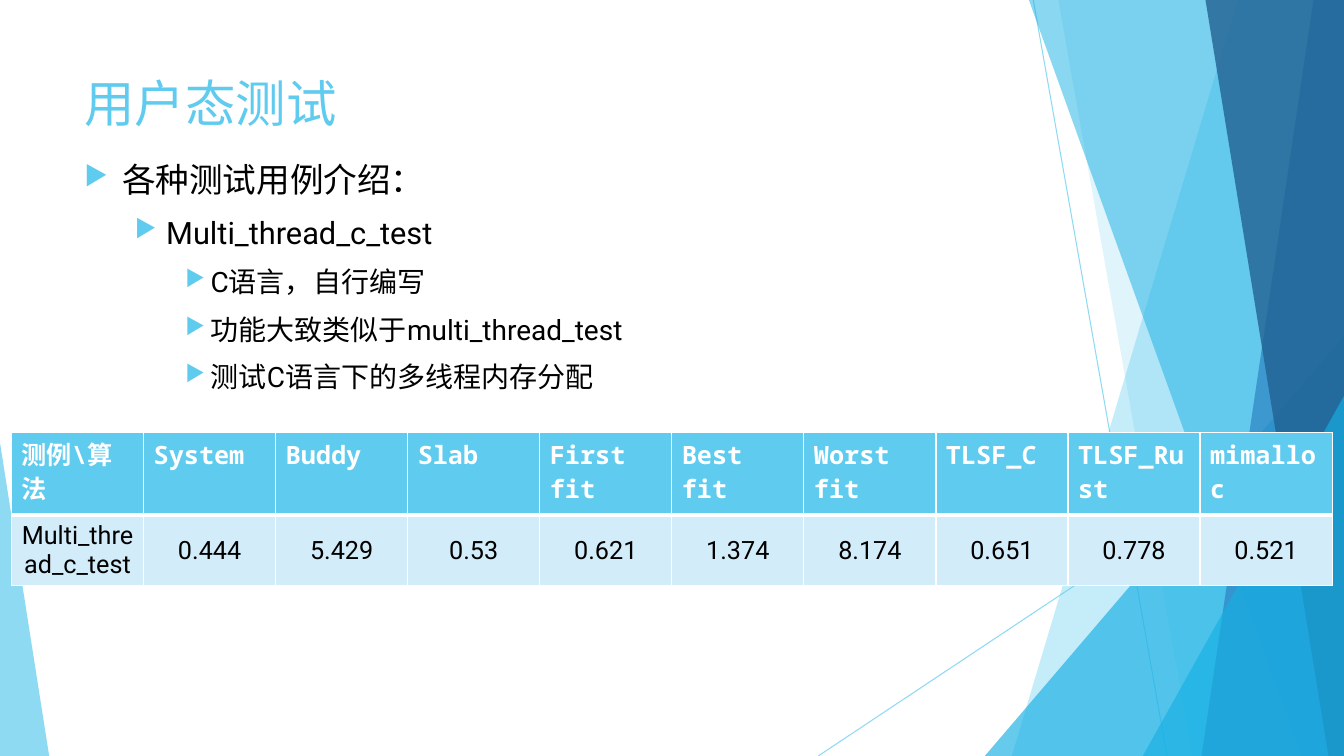
from lxml import etree
from pptx import Presentation
from pptx import util as u
from pptx.dml.color import RGBColor
from pptx.enum import shapes, text
from pptx.oxml import ns

Cm, Pt = u.Cm, u.Pt

SKY = RGBColor(0x5F, 0xCB, 0xEF)
AZURE = RGBColor(0x17, 0xB0, 0xE4)
BLUE = RGBColor(0x2E, 0x83, 0xC3)
NAVY = RGBColor(0x22, 0x62, 0x92)
PALE = RGBColor(0xD2, 0xEC, 0xF9)
WHITE = RGBColor(0xFF, 0xFF, 0xFF)
BLACK = RGBColor(0, 0, 0)
MONO, SANS = "Noto Sans Mono", "Roboto"

TITLE = "用户态测试"
OUTLINE = [
    (0, "各种测试用例介绍："),
    (1, "Multi_thread_c_test"),
    (2, "C语言，自行编写"),
    (2, "功能大致类似于multi_thread_test"),
    (2, "测试C语言下的多线程内存分配"),
]
# Per outline level: text indent, hanging indent (cm), size (pt)
LEVELS = [(0.95, 0.95, 24), (2.06, 0.79, 22), (3.18, 0.64, 20)]
RESULTS = [
    ["测例\\算法", "System", "Buddy", "Slab", "First fit", "Best fit",
     "Worst fit", "TLSF_C", "TLSF_Rust", "mimalloc"],
    ["Multi_thread_c_test", "0.444", "5.429", "0.53", "0.621", "1.374",
     "8.174", "0.651", "0.778", "0.521"],
]


def sub(parent, tag, **attrs):
    """Append a DrawingML child element and return it."""
    return etree.SubElement(parent, ns.qn("a:" + tag), attrs)


def set_alpha(fill_parent, percent):
    """Set the opacity of the solid colour found under an element."""
    color = next(fill_parent.iter(ns.qn("a:srgbClr")))
    sub(color, "alpha", val=str(percent * 1000))


def style_run(r, font, size, color, bold=False):
    """Format a run, with the same font for Latin and East Asian text."""
    r.font.name, r.font.size, r.font.bold = font, Pt(size), bold
    r.font.color.rgb = color
    sub(r.font._element, "ea", typeface=font)


def paint(sp, color, alpha):
    """Give a facet a translucent fill without outline or shadow."""
    sp.shadow.inherit = False
    sp.fill.solid()
    sp.fill.fore_color.rgb = color
    set_alpha(sp._element.spPr, alpha)
    sp.line.fill.background()


def add_facets(s, x, y, w, h):
    """Draw the overlapping facets along the sides of the box."""
    def ray(x1, y1, x2, y2):
        c = s.shapes.add_connector(shapes.MSO_CONNECTOR.STRAIGHT,
                                   x + x1, y + y1, x + x2, y + y2)
        c.line.color.rgb, c.line.width = SKY, Pt(0.75)
        set_alpha(c._element.spPr, 70)
        sub(c._element.spPr, "effectLst")

    def band(top, bottom, color, alpha):
        fb = s.shapes.build_freeform(x + Cm(top), y)
        fb.add_line_segments([(x + w, y), (x + w, y + h),
                              (x + Cm(bottom), y + h)], close=True)
        paint(fb.convert_to_shape(), color, alpha)

    def corner(left, top, right, apex, color, alpha):
        sp = s.shapes.add_shape(shapes.MSO_SHAPE.ISOSCELES_TRIANGLE,
                                x + left, y + top, right - left, h - top)
        sp.adjustments[0] = apex
        paint(sp, color, alpha)

    ray(Cm(26.04), 0, Cm(29.41), h)
    ray(w, Cm(10.24), Cm(20.62), h)
    band(31.19, 25.5, SKY, 36)
    band(26.67, 30.05, SKY, 20)
    corner(Cm(24.82), Cm(8.46), w, 1, AZURE, 66)
    band(25.93, 32.79, AZURE, 50)
    band(33.1, 30.28, BLUE, 70)
    band(30.38, 33.48, NAVY, 80)
    corner(Cm(28.8), Cm(9.98), w, 1, AZURE, 66)
    corner(0, Cm(11.15), Cm(1.24), 0, SKY, 70)


def add_text_frame(s, x, y, w, h):
    """Add a wrapping text box and return its text frame."""
    tf = s.shapes.add_textbox(x, y, w, h).text_frame
    tf.word_wrap = True
    return tf


def add_title(s, x, y, w, h):
    """Write the slide title."""
    tf = add_text_frame(s, x, y, w, h)
    tf.text = TITLE
    style_run(tf.paragraphs[0].runs[0], MONO, 36, SKY)


def add_outline(s, x, y, w, h):
    """Write the bulleted outline."""
    tf = add_text_frame(s, x, y, w, h)
    tf.text = "\n".join(line for _, line in OUTLINE)
    for p, (level, _) in zip(tf.paragraphs, OUTLINE):
        indent, hanging, size = LEVELS[level]
        p.level, p.space_before = level, Pt(10)
        pPr = p._p.get_or_add_pPr()
        pPr.set("marL", str(Cm(indent)))
        pPr.set("indent", str(-Cm(hanging)))
        sub(sub(pPr, "buClr"), "srgbClr", val=str(SKY))
        sub(pPr, "buSzPct", val="80000")
        sub(pPr, "buChar", char="▶")
        style_run(p.runs[0], SANS, size, BLACK)


def set_borders(cell, **widths):
    """Draw white cell borders, with widths in points by side."""
    tcPr = cell._tc.get_or_add_tcPr()
    for i, side in enumerate("LRTB"):
        ln = sub(tcPr, "ln" + side, w=str(Pt(widths.get(side, 1))))
        sub(sub(ln, "solidFill"), "srgbClr", val=str(WHITE))
        tcPr.insert(i, ln)


def add_results(s, x, y, w, h):
    """Build the table of allocator timings."""
    rows, cols = len(RESULTS), len(RESULTS[0])
    table = s.shapes.add_table(rows, cols, x, y, w, h).table
    table.rows[0].height = Cm(2.08)
    table.rows[1].height = h - Cm(2.08)
    for i, row in enumerate(RESULTS):
        for j, value in enumerate(row):
            cell = table.cell(i, j)
            cell.text = value
            cell.fill.solid()
            p = cell.text_frame.paragraphs[0]
            if i == 0:
                cell.fill.fore_color.rgb = SKY
                style_run(p.runs[0], MONO, 18, WHITE, bold=True)
                set_borders(cell, B=3)
                continue
            cell.fill.fore_color.rgb = PALE
            style_run(p.runs[0], SANS, 18, BLACK)
            set_borders(cell, T=3)
            p.alignment = text.PP_ALIGN.CENTER
            cell.vertical_anchor = text.MSO_ANCHOR.MIDDLE
            if j > 0:
                cell.margin_left = cell.margin_right = Cm(0.03)
                cell.margin_top, cell.margin_bottom = Cm(0.03), 0


def build_slide(prs):
    """Add the user-mode test slide."""
    s = prs.slides.add_slide(prs.slide_layouts[6])
    add_facets(s, 0, 0, prs.slide_width, prs.slide_height)
    add_title(s, Cm(1.88), Cm(1.7), Cm(23.88), Cm(3.66))
    add_outline(s, Cm(1.88), Cm(3.89), Cm(25.78), Cm(14.73))
    add_results(s, Cm(0.29), Cm(10.9), Cm(33.28), Cm(3.82))


prs = Presentation()
prs.slide_width, prs.slide_height = Cm(33.87), Cm(19.05)
build_slide(prs)
prs.save("out.pptx")
